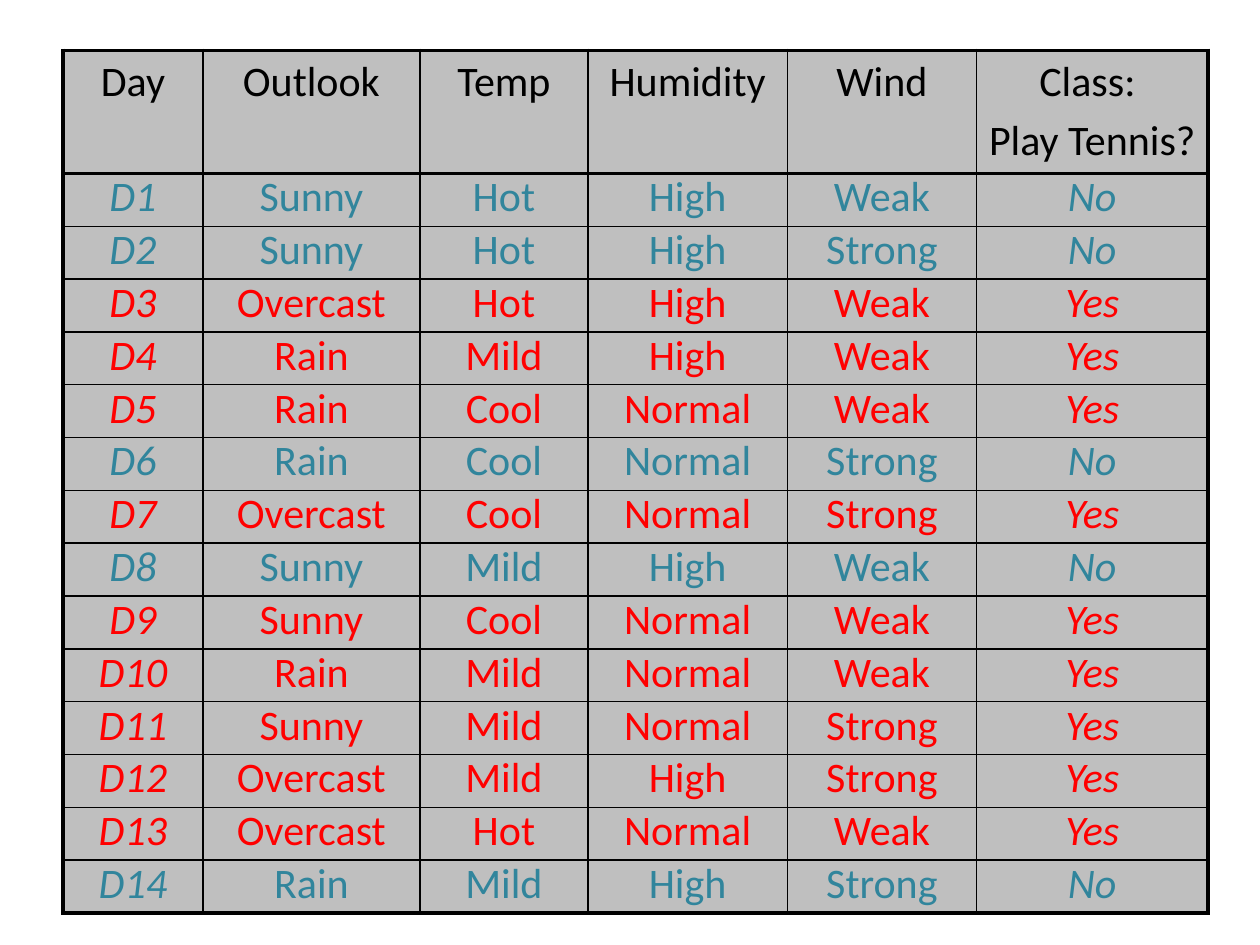
from lxml import etree
from pptx import Presentation
from pptx.dml.color import RGBColor
from pptx.enum.text import PP_ALIGN
from pptx.oxml.ns import qn
from pptx.util import Pt

CENTER = PP_ALIGN.CENTER
BLACK = RGBColor(0x00, 0x00, 0x00)
GREY = RGBColor(0xBF, 0xBF, 0xBF)
TEAL = RGBColor(0x31, 0x85, 0x9C)
RED = RGBColor(0xFF, 0x00, 0x00)
CLASS_COLORS = {"No": TEAL, "Yes": RED}
THICK, THIN = Pt(2.25), Pt(1)

TABLE_BOX = (Pt(36), Pt(28.8), Pt(654.4), Pt(487.44))
COLUMN_WIDTHS = [79.92, 124.1, 96, 114, 108, 132.4]
HEADER_HEIGHT, DAY_HEIGHT = Pt(33.84), Pt(28.8)
HEADER_MARGIN, DAY_MARGIN = Pt(3.6), Pt(3.15)
HEADER_FORMAT = {"alignment": CENTER, "space_before": Pt(4.5)}
DAY_FORMAT = {"alignment": CENTER, "line_spacing": 0.8}

HEADINGS = ["Day", "Outlook", "Temp", "Humidity", "Wind", "Class: \nPlay Tennis?"]
OBSERVATIONS = [
    ("Sunny", "Hot", "High", "Weak", "No"),
    ("Sunny", "Hot", "High", "Strong", "No"),
    ("Overcast", "Hot", "High", "Weak", "Yes"),
    ("Rain", "Mild", "High", "Weak", "Yes"),
    ("Rain", "Cool", "Normal", "Weak", "Yes"),
    ("Rain", "Cool", "Normal", "Strong", "No"),
    ("Overcast", "Cool", "Normal", "Strong", "Yes"),
    ("Sunny", "Mild", "High", "Weak", "No"),
    ("Sunny", "Cool", "Normal", "Weak", "Yes"),
    ("Rain", "Mild", "Normal", "Weak", "Yes"),
    ("Sunny", "Mild", "Normal", "Strong", "Yes"),
    ("Overcast", "Mild", "High", "Strong", "Yes"),
    ("Overcast", "Hot", "Normal", "Weak", "Yes"),
    ("Rain", "Mild", "High", "Strong", "No"),
]


def set_attributes(target, values):
    for name, value in values.items():
        setattr(target, name, value)


def add_borders(cell, widths):
    """Draw black borders; widths maps L, R, T, B (in this order) to line widths."""
    properties = cell._tc.get_or_add_tcPr()
    for side, width in widths.items():
        line = etree.SubElement(properties, qn(f"a:ln{side}"), w=str(width))
        fill = etree.SubElement(line, qn("a:solidFill"))
        etree.SubElement(fill, qn("a:srgbClr"), val=str(BLACK))


def fill_cell(cell, text, color, italic, paragraph_format):
    cell.fill.solid()
    cell.fill.fore_color.rgb = GREY
    cell.text = text
    font_format = {"name": "Calibri", "size": Pt(24), "bold": False, "italic": italic}
    for paragraph in cell.text_frame.paragraphs:
        set_attributes(paragraph, paragraph_format)
        for run in paragraph.runs:
            set_attributes(run.font, font_format)
            run.font.color.rgb = color


def add_weather_table(slide, left, top, width, height):
    days = [(f"D{number}", *values) for number, values in enumerate(OBSERVATIONS, 1)]
    records = [HEADINGS, *days]
    last_row, last_column = len(records) - 1, len(HEADINGS) - 1
    frame = slide.shapes.add_table(len(records), len(HEADINGS), left, top, width, height)
    table = frame.table
    set_attributes(table, {"first_row": False, "horz_banding": False})
    for column, column_width in zip(table.columns, COLUMN_WIDTHS):
        column.width = Pt(column_width)

    for r, record in enumerate(records):
        is_header = r == 0
        table.rows[r].height = HEADER_HEIGHT if is_header else DAY_HEIGHT
        color = BLACK if is_header else CLASS_COLORS[record[-1]]
        for c, text in enumerate(record):
            cell = table.cell(r, c)
            cell.margin_top = HEADER_MARGIN if is_header else DAY_MARGIN
            add_borders(cell, {
                "L": THICK if c == 0 else THIN,
                "R": THICK if c == last_column else THIN,
                "T": THICK if r in (0, 1) else THIN,
                "B": THICK if r in (0, last_row) else THIN,
            })
            italic = not is_header and c in (0, last_column)
            fill_cell(cell, text, color, italic, HEADER_FORMAT if is_header else DAY_FORMAT)
    frame.height = height


def main():
    presentation = Presentation()
    set_attributes(presentation, {"slide_width": Pt(720), "slide_height": Pt(540)})
    slide = presentation.slides.add_slide(presentation.slide_layouts[6])
    add_weather_table(slide, *TABLE_BOX)
    presentation.save("out.pptx")


if __name__ == "__main__":
    main()
